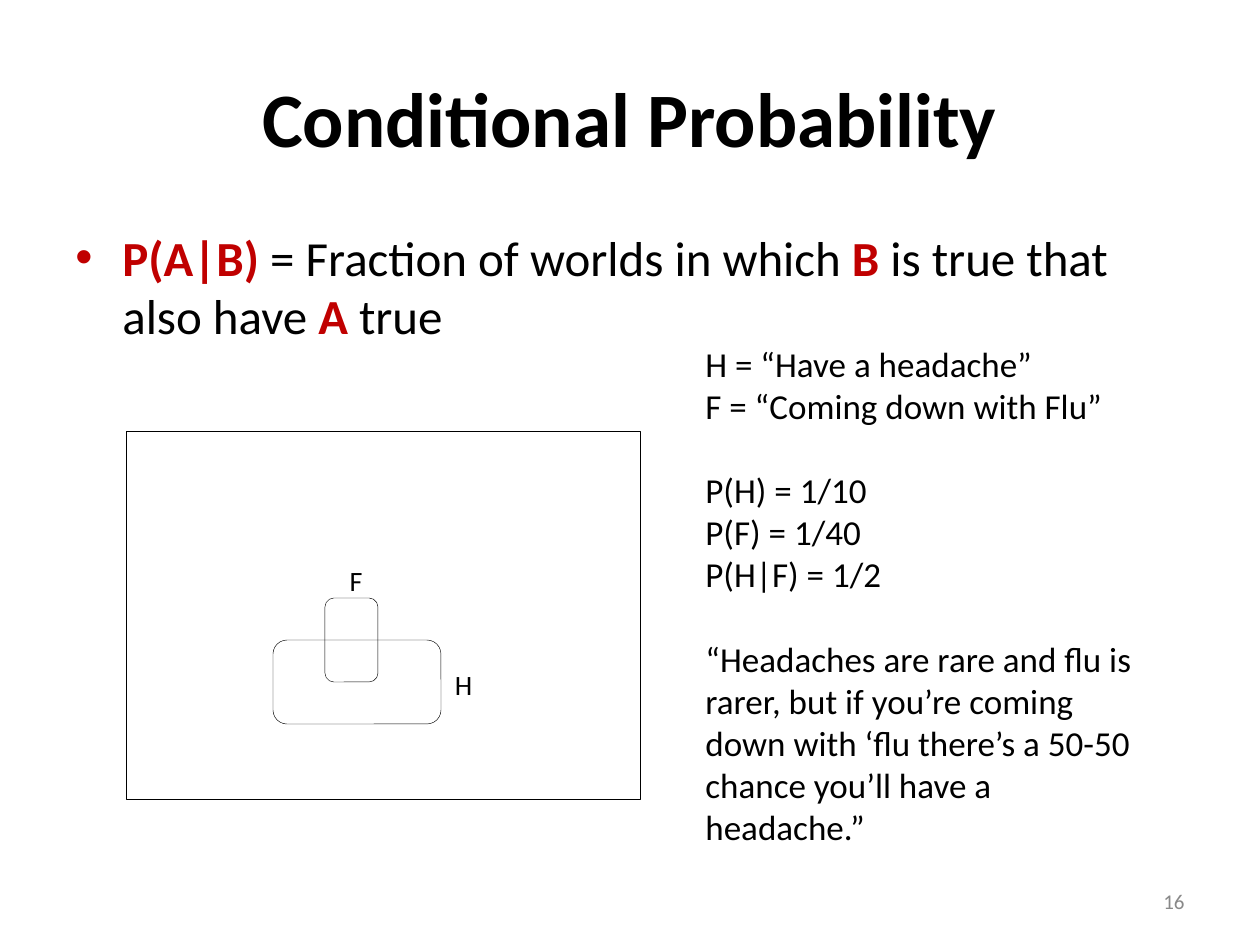
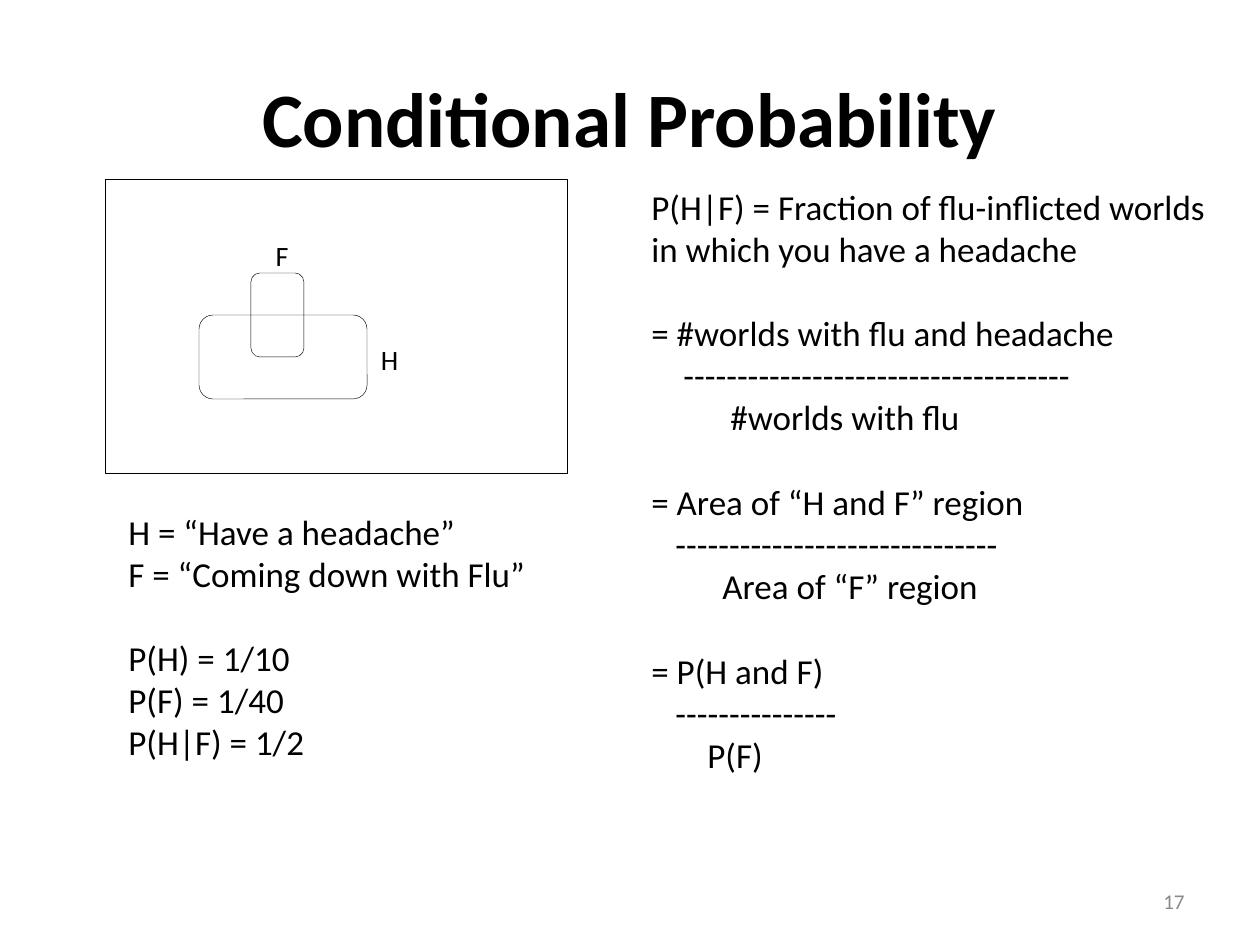
import pptx
import pptx.util
import pptx.dml.color
import pptx.enum.shapes
import pptx.enum.text
import pptx.oxml
import pptx.oxml.ns

SCALE = 914400 / 126  # EMU in one px
FONT = "Calibri"
BLACK, RED, GREY = "000000", "C00000", "898989"
LINE_GAP = 24.4  # one text line at 20 pt

ALIGN = pptx.enum.text.PP_ALIGN
MIDDLE = pptx.enum.text.MSO_ANCHOR.MIDDLE
KIND = pptx.enum.shapes.MSO_SHAPE

TITLE = "Conditional Probability"
TERMS = ["H = “Have a headache”", "F = “Coming down with Flu”"]
ODDS = ["P(H) = 1/10", "P(F) = 1/40", "P(H|F) = 1/2"]
QUOTE = ("“Headaches are rare and flu is rarer, but if you’re coming down "
         "with ‘flu there’s a 50-50 chance you’ll have a headache.”")


def px(count):
    return pptx.util.Emu(round(count * SCALE))


def color(code):
    return pptx.dml.color.RGBColor.from_string(code)


def style(run, size, code=BLACK, bold=False):
    font = run.font
    font.name, font.size, font.bold = FONT, pptx.util.Pt(size), bold
    font.color.rgb = color(code)


def text_box(shapes, box, wrap=True):
    frame = shapes.add_textbox(*map(px, box)).text_frame
    frame.word_wrap = wrap
    return frame


def label(shapes, box, text, size, align, code=BLACK, bold=False, wrap=True):
    """Add one line of text, centred in the height of its box."""
    frame = text_box(shapes, box, wrap)
    frame.text = text
    frame.vertical_anchor = MIDDLE
    line = frame.paragraphs[0]
    line.alignment = align
    style(line.runs[0], size, code, bold)


def outline(shapes, kind, box):
    shape = shapes.add_shape(kind, *map(px, box))
    shape.shadow.inherit = False
    shape.fill.background()
    shape.line.color.rgb = color(BLACK)
    shape.line.width = pptx.util.Pt(0.25)


def indent(line, left, first=0):
    props = line._p.get_or_add_pPr()
    props.set("marL", str(px(left)))
    props.set("indent", str(px(first)))
    return props


def blocks(shapes, box, groups):
    """Write groups of (text, indent) lines, one blank line's space apart."""
    frame = text_box(shapes, box)
    line = None
    for group in groups:
        for place, (text, left) in enumerate(group):
            gap = line is not None and place == 0
            line = frame.add_paragraph() if line else frame.paragraphs[0]
            line.text = text
            indent(line, left)
            line.space_before = pptx.util.Pt(LINE_GAP if gap else 0)
            style(line.runs[0], 20)


def flush(texts):
    return [(text, 0) for text in texts]


def ratio(top, dashes, bar_left, below, below_left):
    return [(top, 0), ("-" * dashes, bar_left), (below, below_left)]


def rule(shapes, box, parts):
    """Write one bulleted sentence from (text, is_key) parts."""
    line = text_box(shapes, box).paragraphs[0]
    props = indent(line, 47, -47)
    space = pptx.oxml.ns.nsdecls("a")
    for xml in (f'<a:buClr {space}><a:srgbClr val="{RED}"/></a:buClr>',
                f'<a:buFont {space} typeface="Arial"/>',
                f'<a:buChar {space} char="•"/>'):
        props.append(pptx.oxml.parse_xml(xml))
    for text, key in parts:
        run = line.add_run()
        run.text = text
        style(run, 28, RED if key else BLACK, key)


def worlds(shapes, box, across, down):
    """Draw all worlds, with the H region at an offset and F crossing it."""
    left, top = box[0] + across, box[1] + down
    outline(shapes, KIND.RECTANGLE, box)
    outline(shapes, KIND.ROUNDED_RECTANGLE, (left, top, 168, 84))
    outline(shapes, KIND.ROUNDED_RECTANGLE, (left + 52, top - 42, 53, 84))
    for name, x, y, width in (("F", 64, -83, 38), ("H", 169, 21, 43)):
        label(shapes, (left + x, top + y, width, 46), name, 16,
              ALIGN.CENTER, wrap=False)


def base(deck, number):
    """Add a slide with the shared title and page number."""
    shapes = deck.slides.add_slide(deck.slide_layouts[6]).shapes
    label(shapes, (63, 38, 1134, 157), TITLE, 44, ALIGN.CENTER, bold=True)
    label(shapes, (903, 876, 294, 50), str(number), 12, ALIGN.RIGHT, GREY)
    return shapes


def meaning(deck):
    shapes = base(deck, 16)
    rule(shapes, (63, 221, 1134, 140), [
        ("P(A|B)", True), (" = Fraction of worlds in which ", False),
        ("B ", True), ("is true that also have ", False),
        ("A", True), (" true", False)])
    worlds(shapes, (126, 431, 514, 368), 147, 209)
    blocks(shapes, (693, 336, 462, 517),
           [flush(TERMS), flush(ODDS), flush([QUOTE])])


def formula(deck):
    shapes = base(deck, 17)
    # Diagram with its terms below
    worlds(shapes.add_group_shape().shapes, (105, 179, 462, 294), 94, 136)
    blocks(shapes, (116, 504, 462, 265), [flush(TERMS), flush(ODDS)])
    # Ratio in three forms
    blocks(shapes, (639, 179, 585, 601), [
        flush(["P(H|F) = Fraction of flu-inflicted worlds "
               "in which you have a headache"]),
        ratio("= #worlds with flu and headache", 36, 32,
              "#worlds with flu", 79),
        ratio("= Area of “H and F” region", 30, 24,
              "Area of “F” region", 71),
        ratio("= P(H and F)", 15, 24, "P(F)", 56)])


def main():
    deck = pptx.Presentation()
    deck.slide_width, deck.slide_height = px(1260), px(945)
    meaning(deck)
    formula(deck)
    deck.save("out.pptx")


if __name__ == "__main__":
    main()
